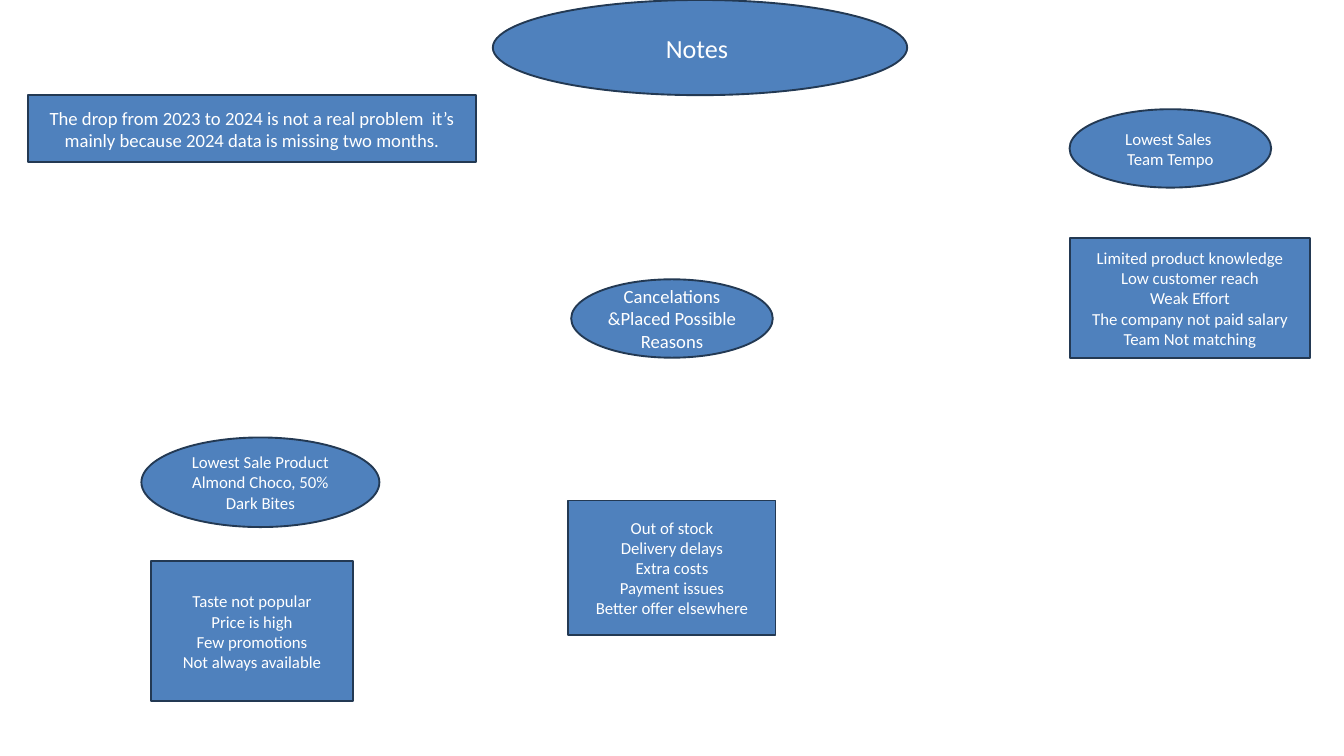
from pptx import Presentation
from pptx.dml.color import RGBColor
from pptx.enum.shapes import MSO_SHAPE
from pptx.enum.text import MSO_ANCHOR, PP_ALIGN
from pptx.util import Pt

PX = 9525
THEME = {
    "font": "Calibri",
    "fill": RGBColor(0x4F, 0x81, 0xBD),
    "line": RGBColor(0x23, 0x39, 0x53),
    "text": RGBColor(0xFF, 0xFF, 0xFF),
    "border": Pt(2),
    "title": Pt(28),
    "large": Pt(20),
    "body": Pt(18),
}
OVAL, RECT = MSO_SHAPE.OVAL, MSO_SHAPE.RECTANGLE

notes = [
    (OVAL, (704, 0, 592, 136), "title", ["Notes "]),
    (RECT, (40, 136, 640, 96), "large", [
        "The drop from 2023 to 2024 is not a real problem  it’s "
        "mainly because 2024 data is missing two months."]),
    (RECT, (812, 715, 296, 192), "body", [
        "Out of stock", "Delivery delays", "Extra costs",
        "Payment issues", "Better offer elsewhere"]),
    (OVAL, (816, 399, 288, 112), "large", [
        "Cancelations &Placed Possible Reasons"]),
    (RECT, (216, 802, 288, 200), "body", [
        "Taste not popular", "Price is high",
        "Few promotions", "Not always available"]),
    (OVAL, (202, 625, 340, 128), "body", [
        "Lowest Sale Product", "Almond Choco, 50% Dark Bites"]),
    (OVAL, (1528, 156, 288, 112), "body", ["Lowest Sales ", "Team Tempo"]),
    (RECT, (1528, 340, 344, 172), "body", [
        "Limited product knowledge", "Low customer reach", "Weak Effort",
        "The company not paid salary", "Team Not matching"]),
]

deck = Presentation()
deck.slide_width = 1920 * PX
deck.slide_height = 1080 * PX
slide = deck.slides.add_slide(deck.slide_layouts[6])

for kind, box, size, lines in notes:
    note = slide.shapes.add_shape(kind, *[side * PX for side in box])
    note.shadow.inherit = False
    note.fill.solid()
    note.fill.fore_color.rgb = THEME["fill"]
    note.line.color.rgb = THEME["line"]
    note.line.width = THEME["border"]
    frame = note.text_frame
    frame.word_wrap = True
    frame.vertical_anchor = MSO_ANCHOR.MIDDLE
    frame.text = "\n".join(lines)
    for para in frame.paragraphs:
        para.alignment = PP_ALIGN.CENTER
        for run in para.runs:
            run.font.name = THEME["font"]
            run.font.size = THEME[size]
            run.font.color.rgb = THEME["text"]

deck.save("out.pptx")
